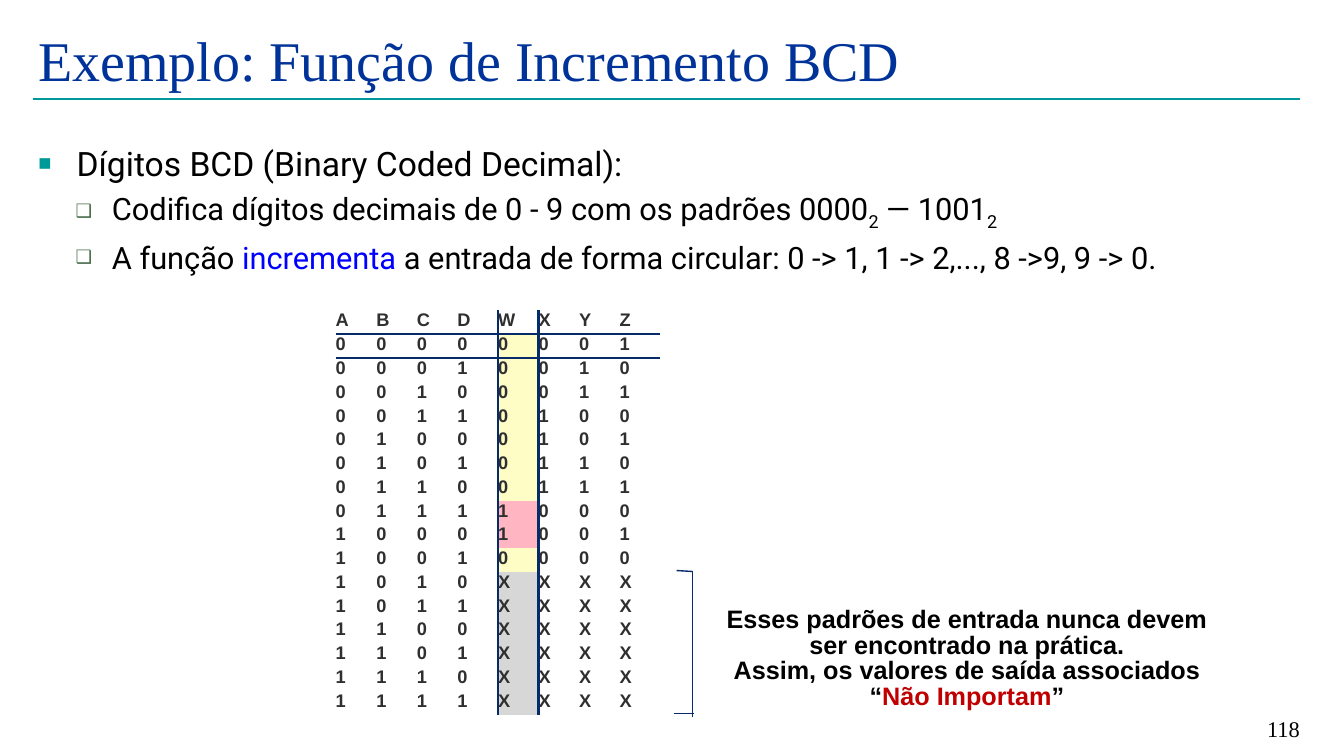
from dataclasses import dataclass

from lxml import etree
from pptx import Presentation
from pptx import util as u
from pptx.dml import color
from pptx.enum import shapes, text
from pptx.oxml import ns


@dataclass(frozen=True)
class Theme:
    blue: str = "003399"
    teal: str = "009999"
    green: str = "4C6D4E"
    navy: str = "062B6B"
    black: str = "000000"
    gray: str = "2F2F2F"
    red: str = "C00000"
    link: str = "0000FF"
    serif: str = "Times New Roman"
    sans: str = "Arial"
    roboto: str = "Roboto"
    head: int = 40
    main: int = 24
    sub: int = 22
    note: int = 18
    page: int = 16
    cell: int = 13


T = Theme()
SHADES = {"0": "FDFDC5", "1": "FFB6C2", "X": "D7D7D7"}
PLAIN = "{2D5ABB26-0587-4C30-8999-92F81FD0307C}"
POINTS = [
    (0, [("Dígitos BCD (Binary Coded Decimal):", {})]),
    (1, [("Codifica dígitos decimais de 0 - 9 com os padrões 0000", {}),
         ("2", {"base": -27}), (" — 1001", {}), ("2", {"base": -27})]),
    (1, [("A função ", {}), ("incrementa", {"ink": T.link}),
         (" a entrada de forma circular: 0 -> 1, 1 -> 2,..., 8 ->9, 9 -> 0.", {})]),
]
LEVELS = [
    {"size": T.main, "left": 0.38, "hang": -0.38, "mark": "■", "ink": T.teal, "part": 65},
    {"size": T.sub, "left": 0.73, "hang": -0.36, "mark": "❑", "ink": T.green, "part": 60},
]
NOTES = [
    [("Esses padrões de entrada nunca devem", {})],
    [("ser encontrado na prática.", {})],
    [("Assim, os valores de saída associados", {})],
    [("“", {}), ("Não Importam", {"ink": T.red}), ("”", {})],
]


def apply(item, form):
    for name, value in form.items():
        setattr(item, name, value)


def node(root, tag, **attrs):
    return etree.SubElement(root, ns.qn(tag), attrs)


def write(para, words, name, size, ink=T.black, bold=False, base=0):
    run = para.add_run()
    run.text = words
    apply(run.font, {"name": name, "size": u.Pt(size), "bold": bold})
    run.font.color.rgb = color.RGBColor.from_string(ink)
    if base:
        run.font._element.set("baseline", str(base * 1000))


def place(shape, left, top, width, height):
    apply(shape, {"left": u.Inches(left), "top": u.Inches(top),
                  "width": u.Inches(width), "height": u.Inches(height)})


def box(slide, left, top, width, height, **form):
    frame = slide.shapes.add_textbox(
        *map(u.Inches, (left, top, width, height))).text_frame
    apply(frame, {"word_wrap": True, **form})
    return frame


def rule(slide, start, end, ink, width):
    line = slide.shapes.add_connector(
        shapes.MSO_CONNECTOR.STRAIGHT, *map(u.Inches, start + end))
    line.line.color.rgb = color.RGBColor.from_string(ink)
    line.line.width = u.Pt(width)
    node(line._element.spPr, "a:effectLst")


def title(slide):
    shape = slide.shapes.title
    place(shape, 0.28, 0.17, 12.56, 0.83)
    frame = shape.text_frame
    apply(frame, {"vertical_anchor": text.MSO_ANCHOR.MIDDLE,
                  "auto_size": text.MSO_AUTO_SIZE.NONE})
    para = frame.paragraphs[0]
    para.alignment = text.PP_ALIGN.LEFT
    write(para, "Exemplo: Função de Incremento BCD", T.serif, T.head, T.blue)


def bullet(para, look):
    props = para._p.get_or_add_pPr()
    props.set("marL", str(u.Inches(look["left"])))
    props.set("indent", str(u.Inches(look["hang"])))
    node(node(props, "a:buClr"), "a:srgbClr", val=look["ink"])
    node(props, "a:buSzPct", val=str(look["part"] * 1000))
    node(props, "a:buFont", typeface=T.sans)
    node(props, "a:buChar", char=look["mark"])


def body(slide):
    shape = slide.placeholders[1]
    place(shape, 0.28, 1.33, 12.56, 6)
    frame = shape.text_frame
    apply(frame, {"auto_size": text.MSO_AUTO_SIZE.NONE, "margin_top": u.Inches(0.09)})
    for i, (level, runs) in enumerate(POINTS):
        para = frame.add_paragraph() if i else frame.paragraphs[0]
        look = LEVELS[level]
        apply(para, {"level": level,
                     "space_before": u.Pt(0.2 * look["size"] if i else 0)})
        bullet(para, look)
        for words, form in runs:
            write(para, words, T.roboto, look["size"], **form)


def truth():
    yield "ABCDWXYZ"
    for n in range(16):
        yield f"{n:04b}" + (f"{(n + 1) % 10:04b}" if n < 10 else "XXXX")


def border(cell, row, col):
    sides = {"a:lnL": col == 4, "a:lnR": col == 3, "a:lnT": row == 1, "a:lnB": row == 0}
    props = cell._tc.get_or_add_tcPr()
    chosen = [tag for tag, used in sides.items() if used]
    for i, tag in enumerate(chosen):
        edge = node(props, tag, w=str(u.Pt(2)))
        node(node(edge, "a:solidFill"), "a:srgbClr", val=T.navy)
        props.insert(i, edge)


def grid(slide):
    rows = list(truth())
    table = slide.shapes.add_table(
        len(rows), 8, *map(u.Inches, (3.33, 3.08, 3.22, 4.01))).table
    apply(table, {"first_row": False, "horz_banding": False})
    table._tbl.tblPr.find(ns.qn("a:tableStyleId")).text = PLAIN
    for r, row in enumerate(rows):
        for c, sign in enumerate(row):
            cell = table.cell(r, c)
            apply(cell, dict.fromkeys(
                ("margin_left", "margin_right", "margin_top", "margin_bottom"), 0))
            write(cell.text_frame.paragraphs[0], sign, T.sans, T.cell, T.gray, True)
            if r and c == 4:
                cell.fill.solid()
                cell.fill.fore_color.rgb = color.RGBColor.from_string(SHADES[sign])
            else:
                cell.fill.background()
            border(cell, r, c)


def bracket(slide):
    for start, end in (((6.71, 5.66), (6.87, 5.67)),
                       ((6.68, 7.08), (6.88, 7.08)),
                       ((6.87, 5.66), (6.87, 7.11))):
        rule(slide, start, end, T.navy, 1)


def note(slide):
    pad = dict.fromkeys(("margin_left", "margin_right", "margin_top", "margin_bottom"),
                        u.Inches(0.03))
    frame = box(slide, 7.08, 6, 5.02, 1.09, **pad)
    for i, runs in enumerate(NOTES):
        para = frame.add_paragraph() if i else frame.paragraphs[0]
        apply(para, {"alignment": text.PP_ALIGN.CENTER, "line_spacing": 0.85})
        for words, form in runs:
            write(para, words, T.sans, T.note, bold=True, **form)


def number(slide):
    frame = box(slide, 9.88, 6.91, 3.11, 0.5, vertical_anchor=text.MSO_ANCHOR.BOTTOM)
    para = frame.paragraphs[0]
    para.alignment = text.PP_ALIGN.RIGHT
    write(para, "118", T.serif, T.page)


def main():
    deck = Presentation()
    apply(deck, {"slide_width": u.Inches(13.33), "slide_height": u.Inches(7.5)})
    slide = deck.slides.add_slide(deck.slide_layouts[1])
    rule(slide, (0.33, 0.98), (12.89, 0.98), T.teal, 1.5)
    title(slide)
    body(slide)
    grid(slide)
    number(slide)
    bracket(slide)
    note(slide)
    deck.save("out.pptx")


if __name__ == "__main__":
    main()
